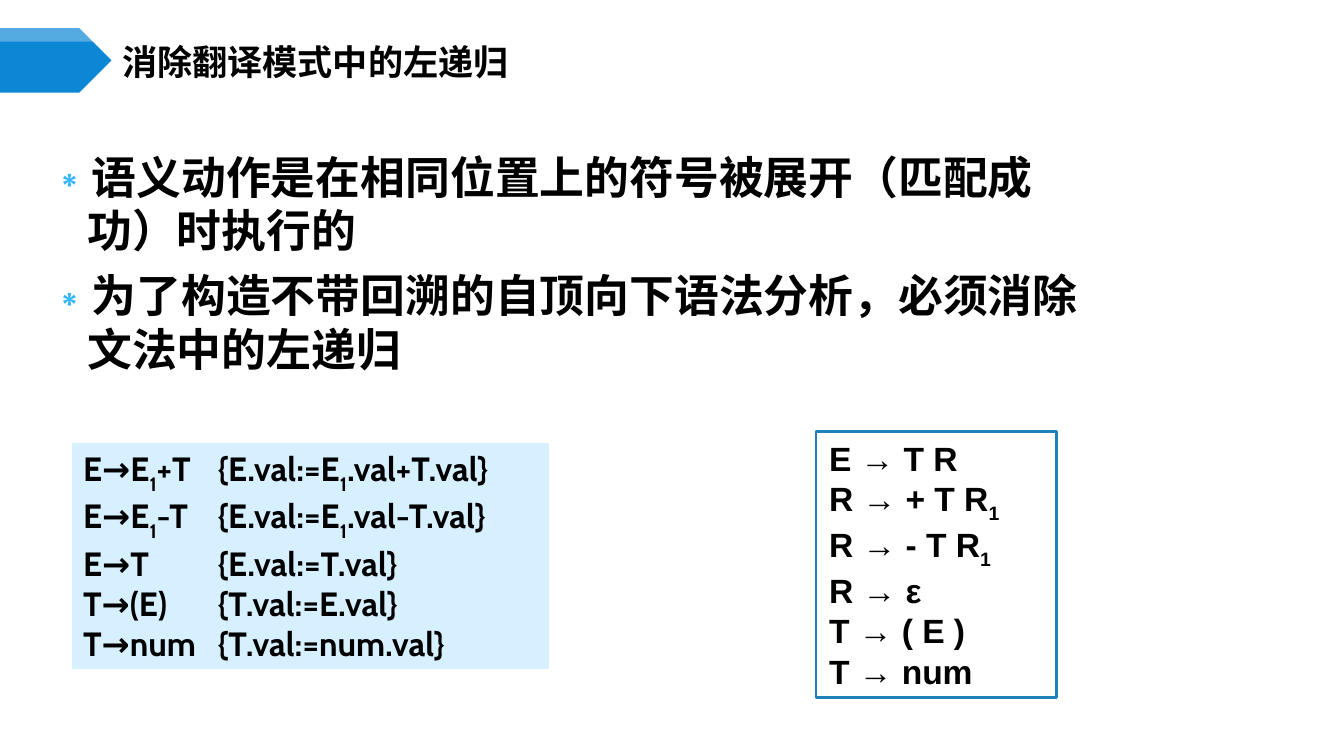
from lxml import etree
from pptx import Presentation
from pptx.dml.color import RGBColor
from pptx.enum.shapes import MSO_SHAPE
from pptx.enum.text import MSO_ANCHOR, MSO_AUTO_SIZE, PP_ALIGN
from pptx.oxml.ns import qn
from pptx.util import Inches, Pt

LEFT, TOP, MIDDLE = PP_ALIGN.LEFT, MSO_ANCHOR.TOP, MSO_ANCHOR.MIDDLE
NO_FIT, RECT = MSO_AUTO_SIZE.NONE, MSO_SHAPE.RECTANGLE

BLACK = RGBColor(0x00, 0x00, 0x00)
WHITE = RGBColor(0xFF, 0xFF, 0xFF)
BLUE = RGBColor(0x0B, 0x87, 0xD6)
EDGE = RGBColor(0x1C, 0x82, 0xB8)
PALE = RGBColor(0xD6, 0xF0, 0xFF)
STAR = RGBColor(0x31, 0xB6, 0xFD)

TITLE = "消除翻译模式中的左递归"
POINTS = [
    "语义动作是在相同位置上的符号被展开（匹配成功）时执行的",
    "为了构造不带回溯的自顶向下语法分析，必须消除文法中的左递归",
]
# "_1" marks a subscript 1
RULES = [
    "E→E_1+T\t{E.val:=E_1.val+T.val}",
    "E→E_1-T \t{E.val:=E_1.val-T.val}",
    "E→T\t{E.val:=T.val}",
    "T→(E)\t{T.val:=E.val}",
    "T→num\t{T.val:=num.val}",
]
RESULT = ["E → T R", "R → + T R_1", "R → - T R_1", "R → ε", "T → ( E )", "T → num"]


def add(parent, tag, **attrs):
    return etree.SubElement(parent, qn(tag), attrs)


def style(para, name, size):
    font = para.font
    font.name, font.size, font.bold = name, Pt(size), True
    font.color.rgb = BLACK
    para.alignment = LEFT


def set_frame(shape, box, anchor, pad_x, pad_y):
    shape.left, shape.top, shape.width, shape.height = map(Inches, box)
    frame = shape.text_frame
    frame.margin_left = frame.margin_right = Inches(pad_x)
    frame.margin_top = frame.margin_bottom = Inches(pad_y)
    frame.auto_size, frame.vertical_anchor = NO_FIT, anchor
    frame.word_wrap = True
    return frame


def add_outline(slide, points, color):
    points = [(Inches(x), Inches(y)) for x, y in points]
    build = slide.shapes.build_freeform(*points[0], scale=1.0)
    build.add_line_segments(points[1:], close=True)
    shape = build.convert_to_shape()
    shape.shadow.inherit = False
    shape.fill.solid()
    shape.fill.fore_color.rgb = color
    shape.line.fill.background()
    return shape


def add_arrow(slide, box):
    x, y, w, h = box
    right, mid = x + w, y + h / 2
    neck = right - h / 2
    add_outline(slide, [(x, y), (neck, y), (right, mid),
                        (neck, y + h), (x, y + h)], BLUE)
    # Translucent band along the top, with its own small point
    band = 0.1
    notch = right - band / 2
    shade = add_outline(slide, [(x, y), (notch, y), (right, y + band / 2),
                                (notch, y + band), (x, y + band)], WHITE)
    tint = shade.fill._xPr.find(".//" + qn("a:srgbClr"))
    add(tint, "a:alpha", val="30000")


def set_title(slide, box):
    frame = set_frame(slide.shapes.title, box, MIDDLE, 0.08, 0.04)
    frame.text = TITLE
    para = frame.paragraphs[0]
    style(para, "Noto Sans CJK SC", 18.8)
    para.line_spacing = 0.8
    face = para._p.pPr.find(qn("a:defRPr"))
    add(face, "a:ea", typeface="Noto Sans CJK SC")


def set_list(slide, box):
    frame = set_frame(slide.placeholders[1], box, TOP, 0.08, 0.04)
    frame.text = "\n".join(POINTS)
    for i, para in enumerate(frame.paragraphs):
        props = para._p.get_or_add_pPr()
        props.set("marL", str(Inches(0.3)))
        props.set("indent", str(-Inches(0.3)))
        tint = add(props, "a:buClr")
        add(tint, "a:srgbClr", val=str(STAR))
        add(props, "a:buChar", char="∗")
        style(para, "Times New Roman", 24)
        para.space_before = Pt(6 if i else 0)


def add_rules(slide, box, lines, name, fill, edge, width, drop):
    shape = slide.shapes.add_shape(RECT, *map(Inches, box))
    shape.shadow.inherit = False
    shape.fill.solid()
    shape.fill.fore_color.rgb = fill
    shape.line.color.rgb = edge
    shape.line.width = Pt(width)
    frame = set_frame(shape, box, TOP, 0.1, 0.05)
    for i, line in enumerate(lines):
        para = frame.add_paragraph() if i else frame.paragraphs[0]
        tabs = add(para._p.get_or_add_pPr(), "a:tabLst")
        add(tabs, "a:tab", pos=str(Inches(1)), algn="l")
        style(para, name, 18)
        for j, part in enumerate(line.split("_1")):
            if j:
                sub = para.add_run()
                sub.text = "1"
                sub._r.get_or_add_rPr().set("baseline", str(-drop * 1000))
            if part:
                para.add_run().text = part


def main():
    deck = Presentation()
    # Widescreen, 16 to 9
    deck.slide_width = Inches(10)
    deck.slide_height = deck.slide_width * 9 // 16
    slide = deck.slides.add_slide(deck.slide_layouts[1])
    add_arrow(slide, (0, 0.21, 0.83, 0.48))
    set_title(slide, (0.83, 0.29, 8.67, 0.39))
    set_list(slide, (0.27, 1.07, 8.14, 3.53))
    add_rules(slide, (6.07, 3.21, 1.79, 1.98), RESULT, "Arial", WHITE, EDGE, 1.25, 25)
    add_rules(slide, (0.52, 3.28, 3.58, 1.71), RULES, "Cabin", PALE, WHITE, 2, 30)
    deck.save("out.pptx")


if __name__ == "__main__":
    main()
